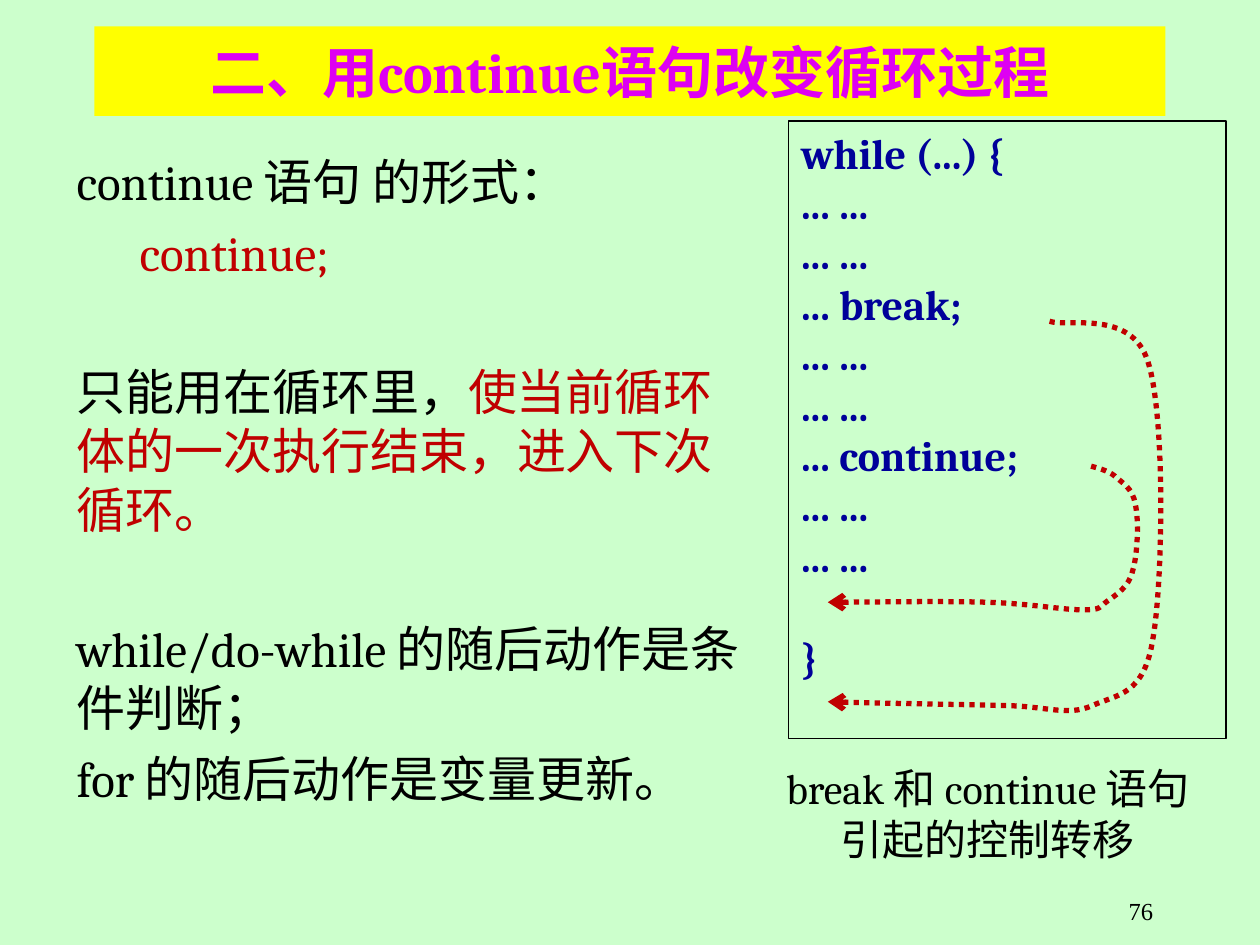
from dataclasses import dataclass

from lxml import etree
from pptx import Presentation
from pptx.dml.color import RGBColor
from pptx.enum import dml, shapes, text
from pptx.oxml import ns
from pptx.util import Inches, Pt


@dataclass(frozen=True)
class Theme:
    background: str = "CCFFCC"
    banner: str = "FFFF00"
    title: str = "DE00F2"
    code: str = "000099"
    accent: str = "C00000"
    ink: str = "000000"
    font: str = "Cambria"
    number_font: str = "Times New Roman"
    title_size: int = 32
    body_size: int = 28
    code_size: int = 24
    number_size: int = 14
    border: float = 0.75
    arrow: float = 3


THEME = Theme()
ALIGN = text.PP_ALIGN
ANCHOR = text.MSO_ANCHOR

CODE = ["while (...) {", "... ...", "... ...", "... break;", "... ...", "... ...",
        "... continue;", "... ...", "... ...", "}"]

BODY = [
    (0, [("continue 语句 的形式：", THEME.ink)]),
    (7, [("\tcontinue;", THEME.accent)]),
    (46, [("只能用在循环里，", THEME.ink),
          ("使当前循环体的一次执行结束，进入下次循环。", THEME.accent)]),
    (46, [("while/do-while 的随后动作是条件判断；", THEME.ink)]),
    (7, [("for 的随后动作是变量更新。", THEME.ink)]),
]

BREAK_PATH = [
    (8.33, 2.55), (8.46, 2.6), (8.98, 2.45), (9.11, 2.87),
    (9.25, 3.29), (9.23, 4.62), (9.15, 5.07), (9.08, 5.52), (8.87, 5.51), (8.67, 5.6),
    (8.47, 5.69), (8.3, 5.6), (7.95, 5.6), (7.6, 5.59), (6.86, 5.58), (6.57, 5.57),
]
CONTINUE_PATH = [
    (8.66, 3.7), (8.69, 3.71), (8.79, 3.73), (8.85, 3.78),
    (8.9, 3.83), (8.99, 3.87), (9.01, 4), (9.04, 4.12), (9.03, 4.4), (8.99, 4.53),
    (8.96, 4.66), (8.86, 4.72), (8.79, 4.77), (8.72, 4.82), (8.75, 4.84), (8.59, 4.84),
    (8.43, 4.84), (8.17, 4.79), (7.83, 4.78), (7.5, 4.77), (6.84, 4.78), (6.57, 4.78),
]


def apply(target, values):
    for name, value in values.items():
        setattr(target, name, value)


def plain(color, content, gap=0):
    return gap, [(content, color)]


def write(box, paragraphs, size, align, anchor=ANCHOR.TOP, bold=False, font=THEME.font):
    frame = box.text_frame
    apply(frame, {"word_wrap": True, "vertical_anchor": anchor})
    for index, (gap, spans) in enumerate(paragraphs):
        para = frame.add_paragraph() if index else frame.paragraphs[0]
        para.alignment = align
        if gap:
            para.space_before = Pt(gap)
        for content, color in spans:
            span = para.add_run()
            span.text = content
            apply(span.font, {"name": font, "size": Pt(size), "bold": bold})
            span.font.color.rgb = RGBColor.from_string(color)


def add_text(page, place, paragraphs, size, align, **options):
    box = page.shapes.add_textbox(*map(Inches, place))
    write(box, paragraphs, size, align, **options)


def add_panel(page, place, fill=None, line=None):
    panel = page.shapes.add_shape(shapes.MSO_SHAPE.RECTANGLE, *map(Inches, place))
    panel.shadow.inherit = False
    if fill:
        panel.fill.solid()
        panel.fill.fore_color.rgb = RGBColor.from_string(fill)
    else:
        panel.fill.background()
    if line:
        panel.line.color.rgb = RGBColor.from_string(line)
        panel.line.width = Pt(THEME.border)
    else:
        panel.line.fill.background()
    return panel


def add_curved_arrow(page, points):
    start, *rest = [(Inches(x), Inches(y)) for x, y in points]
    builder = page.shapes.build_freeform(*start)
    builder.add_line_segments(rest, close=False)
    arrow = builder.convert_to_shape()
    arrow.shadow.inherit = False
    arrow.fill.background()
    arrow.line.color.rgb = RGBColor.from_string(THEME.accent)
    apply(arrow.line, {"width": Pt(THEME.arrow),
                       "dash_style": dml.MSO_LINE.ROUND_DOT})
    outline = arrow.element.spPr.find(ns.qn("a:ln"))
    etree.SubElement(outline, ns.qn("a:tailEnd"), type="arrow")

    segments = list(arrow.element.iter(ns.qn("a:lnTo")))
    track = segments[0].getparent()
    for first in range(0, len(segments), 3):
        curve = etree.SubElement(track, ns.qn("a:cubicBezTo"))
        for segment in segments[first:first + 3]:
            curve.append(segment[0])
            track.remove(segment)


def main():
    deck = Presentation()
    apply(deck, {"slide_width": Inches(10), "slide_height": Inches(7.5)})
    page = deck.slides.add_slide(deck.slide_layouts[6])
    page.background.fill.solid()
    page.background.fill.fore_color.rgb = RGBColor.from_string(THEME.background)

    add_text(page, (7.17, 7.06, 2.08, 0.44), [plain(THEME.ink, "76")],
             THEME.number_size, ALIGN.RIGHT, font=THEME.number_font)
    caption = ["break 和 continue 语句", "引起的控制转移"]
    add_text(page, (5.94, 6, 3.8, 0.91), [plain(THEME.ink, line) for line in caption],
             THEME.code_size, ALIGN.CENTER, anchor=ANCHOR.MIDDLE)

    for points in (BREAK_PATH, CONTINUE_PATH):
        add_curved_arrow(page, points)

    listing = add_panel(page, (6.26, 0.96, 3.47, 4.9), line=THEME.ink)
    lines = [plain(THEME.code, line, 29 if line == "}" else 0) for line in CODE]
    write(listing, lines, THEME.code_size, ALIGN.LEFT, bold=True)

    banner = add_panel(page, (0.75, 0.21, 8.5, 0.71), fill=THEME.banner)
    write(banner, [plain(THEME.title, "二、用continue语句改变循环过程")],
          THEME.title_size, ALIGN.CENTER, anchor=ANCHOR.MIDDLE, bold=True)

    add_text(page, (0.51, 1.15, 5.48, 5.83), BODY, THEME.body_size, ALIGN.LEFT)
    deck.save("out.pptx")


if __name__ == "__main__":
    main()
